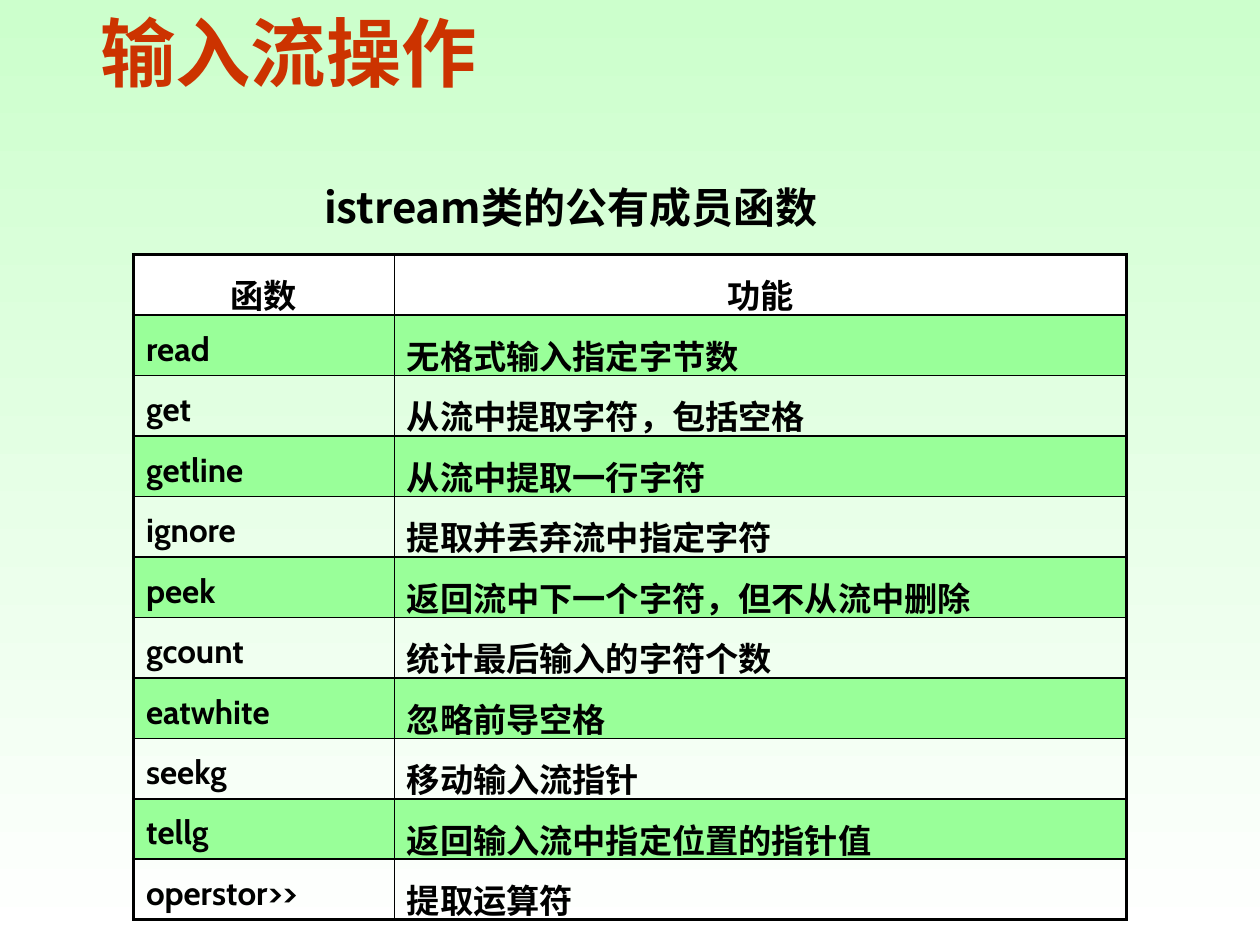
from typing import NamedTuple

from lxml import etree
from pptx import Presentation
from pptx import util as u
from pptx.dml.color import RGBColor
from pptx.enum import text
from pptx.oxml.ns import qn

COLORS = {
    "black": "000000",
    "white": "FFFFFF",
    "title": "CC3300",
    "mint": "CCFFCC",
    "band": "99FF99",
}
CJK_FONT = "Noto Sans CJK SC"
THIN, THICK = u.Pt(1), u.Pt(2.25)


class Style(NamedTuple):
    size: float
    font: str
    color: str = "black"
    align: text.PP_ALIGN = text.PP_ALIGN.LEFT


class Label(NamedTuple):
    words: str
    left: float
    top: float
    width: float
    height: float
    style: Style


class Member(NamedTuple):
    name: str
    purpose: str


HEADER = Member("函数", "功能")
MEMBERS = [
    Member("read", "无格式输入指定字节数"),
    Member("get", "从流中提取字符，包括空格"),
    Member("getline", "从流中提取一行字符"),
    Member("ignore", "提取并丢弃流中指定字符"),
    Member("peek", "返回流中下一个字符，但不从流中删除"),
    Member("gcount", "统计最后输入的字符个数"),
    Member("eatwhite", "忽略前导空格"),
    Member("seekg", "移动输入流指针"),
    Member("tellg", "返回输入流中指定位置的指针值"),
    Member("operstor>>", "提取运算符"),
]
LABELS = [
    Label("istream类的公有成员函数 ", 2.17, 1.39, 4.49, 0.5,
          Style(24, CJK_FONT, align=text.PP_ALIGN.RIGHT)),
    Label("输入流操作", 0.7, 0, 8.75, 1.33,
          Style(43, "Times New Roman", "title")),
]
BODY = Style(19, "Cabin")
HEAD = BODY._replace(align=text.PP_ALIGN.CENTER)


def rgb(name: str) -> RGBColor:
    return RGBColor.from_string(COLORS[name])


def write(tf, words: str, style: Style) -> None:
    tf.text = words
    p = tf.paragraphs[0]
    p.alignment = style.align
    r = p.runs[0]
    r.font.size = u.Pt(style.size)
    r.font.name = style.font
    r.font.bold = True
    r.font.color.rgb = rgb(style.color)
    ea = etree.SubElement(r.font._element, qn("a:ea"))
    ea.set("typeface", CJK_FONT)


def add_label(slide, label: Label) -> None:
    box = slide.shapes.add_textbox(
        u.Inches(label.left), u.Inches(label.top),
        u.Inches(label.width), u.Inches(label.height))
    box.text_frame.word_wrap = True
    write(box.text_frame, label.words, label.style)


def add_borders(cell, widths: dict[str, int]) -> None:
    props = cell._tc.get_or_add_tcPr()
    for i, (side, width) in enumerate(widths.items()):
        line = etree.Element(qn(f"a:{side}"), w=str(int(width)))
        fill = etree.SubElement(line, qn("a:solidFill"))
        etree.SubElement(fill, qn("a:srgbClr"), val=COLORS["black"])
        props.insert(i, line)


def fill_cell(cell, color: str | None) -> None:
    if color is None:
        cell.fill.background()
    else:
        cell.fill.solid()
        cell.fill.fore_color.rgb = rgb(color)


def add_member_table(slide) -> None:
    rows = [HEADER, *MEMBERS]
    widths = [2.07, 5.81]
    row_height = 0.48
    frame = slide.shapes.add_table(
        len(rows), len(widths), u.Inches(1.06), u.Inches(2.02),
        u.Inches(sum(widths)), u.Inches(row_height * len(rows)))
    table = frame.table
    table.first_row = table.horz_banding = False
    for column, width in zip(table.columns, widths):
        column.width = u.Inches(width)
    last_row, last_col = len(rows) - 1, len(widths) - 1
    for i, member in enumerate(rows):
        table.rows[i].height = u.Inches(row_height)
        color = "white" if i == 0 else "band" if i % 2 else None
        for j, words in enumerate(member):
            cell = table.cell(i, j)
            cell.margin_bottom = u.Inches(-0.03)
            write(cell.text_frame, words, BODY if i else HEAD)
            p = cell.text_frame.paragraphs[0]
            p.line_spacing = 1.2
            p.space_before = u.Pt(11.9)
            fill_cell(cell, color)
            add_borders(cell, {
                "lnL": THICK if j == 0 else THIN,
                "lnR": THICK if j == last_col else THIN,
                "lnT": THICK if i == 0 else THIN,
                "lnB": THICK if i == last_row else THIN,
            })


def paint_background(slide) -> None:
    fill = slide.background.fill
    fill.gradient()
    fill.gradient_angle = 270
    for stop, name, position in zip(fill.gradient_stops, ("mint", "white"), (0, 1)):
        stop.color.rgb = rgb(name)
        stop.position = position


def main() -> None:
    prs = Presentation()
    prs.slide_width, prs.slide_height = u.Inches(10), u.Inches(7.5)
    slide = prs.slides.add_slide(prs.slide_layouts[6])
    paint_background(slide)
    add_member_table(slide)
    for label in LABELS:
        add_label(slide, label)
    prs.save("out.pptx")


if __name__ == "__main__":
    main()
